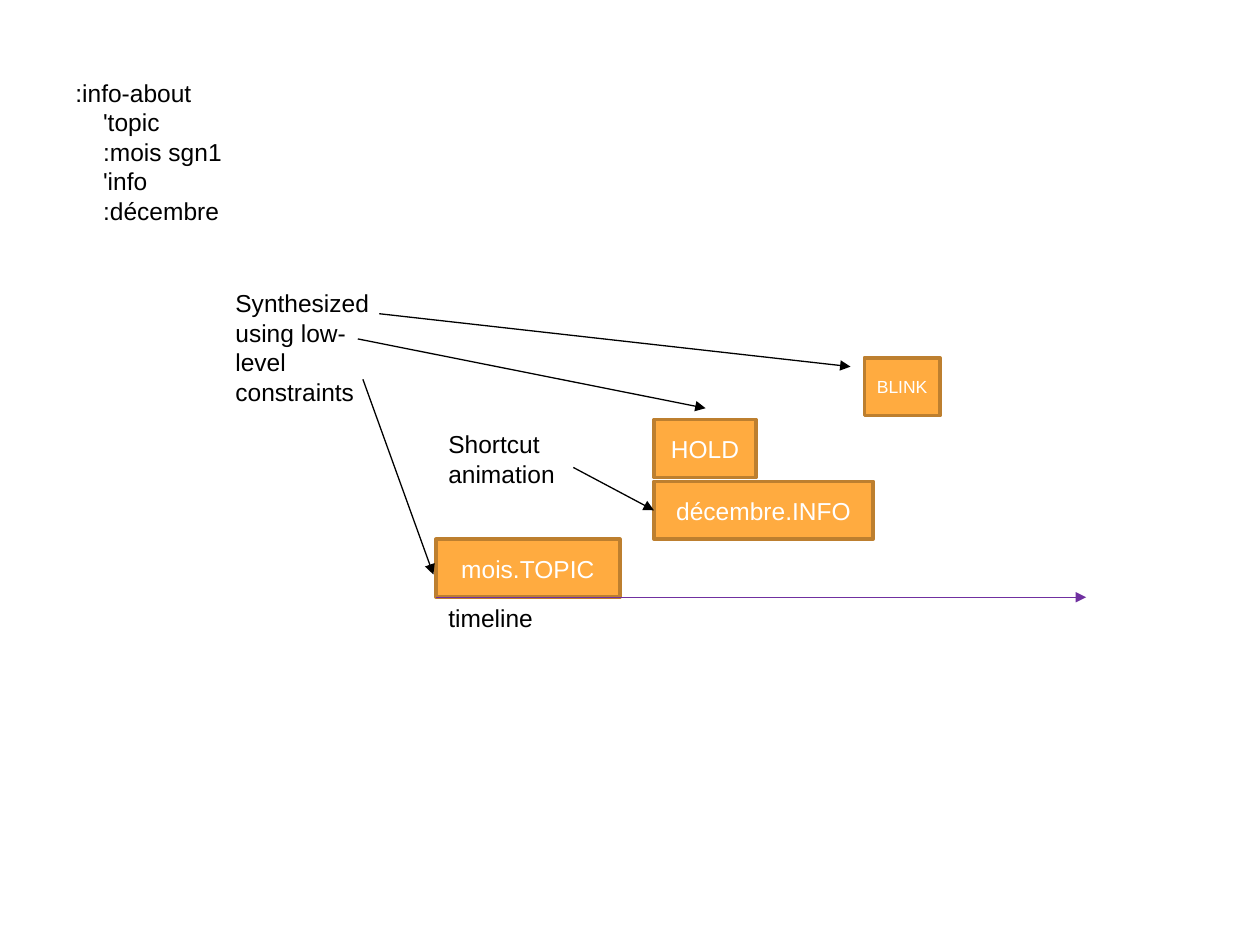
from dataclasses import dataclass

import pptx
import pptx.dml.color
import pptx.enum.shapes
import pptx.enum.text
import pptx.oxml
import pptx.oxml.ns
import pptx.util

Inches = pptx.util.Inches
Pt = pptx.util.Pt
LEFT_SIDE = 1


@dataclass(frozen=True)
class Theme:
    font: str = "Arial"
    body: int = 14
    small: int = 10
    ink: str = "000000"
    box_text: str = "FFFFFF"
    box_fill: str = "FFAB40"
    box_line: str = "BD7F2F"
    timeline: str = "7030A0"
    box_width: float = 2
    arrow_width: float = 0.75


def rgb(value):
    return pptx.dml.color.RGBColor.from_string(value)


def set_all(target, values):
    for name, value in values.items():
        setattr(target, name, value)


class Diagram:
    def __init__(self, slide, theme):
        self.slide = slide
        self.theme = theme

    def add_text(self, p, text, size, color):
        r = p.add_run()
        r.text = text
        set_all(r.font, {"name": self.theme.font, "size": Pt(size)})
        r.font.color.rgb = rgb(color)

    def label(self, x, y, w, h, lines, wrap=True, indent=0.0):
        """Add a text box; every line after the first is indented."""
        sp = self.slide.shapes.add_textbox(*map(Inches, (x, y, w, h)))
        tf = sp.text_frame
        set_all(tf, {"word_wrap": wrap,
                     "auto_size": pptx.enum.text.MSO_AUTO_SIZE.SHAPE_TO_FIT_TEXT})
        for i, line in enumerate(lines):
            p = tf.add_paragraph() if i else tf.paragraphs[0]
            if i and indent:
                p._p.get_or_add_pPr().set("marL", str(Inches(indent)))
            self.add_text(p, line, self.theme.body, self.theme.ink)

    def box(self, x, y, w, h, text, size):
        t = self.theme
        sp = self.slide.shapes.add_shape(
            pptx.enum.shapes.MSO_SHAPE.RECTANGLE, *map(Inches, (x, y, w, h)))
        sp.shadow.inherit = False
        sp.fill.solid()
        sp.fill.fore_color.rgb = rgb(t.box_fill)
        sp.line.color.rgb = rgb(t.box_line)
        sp.line.width = Pt(t.box_width)
        tf = sp.text_frame
        set_all(tf, {"margin_left": 0, "margin_right": 0, "word_wrap": True,
                     "vertical_anchor": pptx.enum.text.MSO_ANCHOR.MIDDLE})
        p = tf.paragraphs[0]
        p.alignment = pptx.enum.text.PP_ALIGN.CENTER
        self.add_text(p, text, size, t.box_text)
        return sp

    def arrow(self, start, end, color, target=None):
        """Draw an arrow, joined to the left side of target if one is given."""
        s = self.slide.shapes.add_connector(
            pptx.enum.shapes.MSO_CONNECTOR.STRAIGHT, *map(Inches, (*start, *end)))
        if target is not None:
            s.end_connect(target, LEFT_SIDE)
        s.line.color.rgb = rgb(color)
        s.line.width = Pt(self.theme.arrow_width)
        head = pptx.oxml.parse_xml(
            f'<a:tailEnd {pptx.oxml.ns.nsdecls("a")} type="triangle"/>')
        s.line._get_or_add_ln().append(head)
        s._element.spPr.append(
            pptx.oxml.parse_xml(f'<a:effectLst {pptx.oxml.ns.nsdecls("a")}/>'))


def main():
    prs = pptx.Presentation()
    set_all(prs, {"slide_width": Inches(10), "slide_height": Inches(7.5)})
    theme = Theme()
    d = Diagram(prs.slides.add_slide(prs.slide_layouts[6]), theme)

    d.label(0.5, 0.57, 1.44, 1.28,
            [":info-about", "'topic", ":mois sgn1", "'info", ":décembre"], indent=0.22)

    box_height = 0.46
    start_x, timeline_y = 3.46, 4.74
    info_x, info_y, row_step = 5.19, 3.82, 0.49
    d.box(start_x, timeline_y - box_height, 1.46, box_height, "mois.TOPIC", theme.body)
    info = d.box(info_x, info_y, 1.74, box_height, "décembre.INFO", theme.body)
    d.box(info_x, info_y - row_step, 0.81, box_height, "HOLD", theme.body)
    d.box(6.86, info_y - 2 * row_step, 0.6, box_height, "BLINK", theme.small)

    d.arrow((start_x, timeline_y), (8.62, timeline_y), theme.timeline)
    d.label(start_x, timeline_y, 0.88, 0.34, ["timeline"], wrap=False)

    d.label(1.77, 2.24, 1.33, 1.04, ["Synthesized using low-level constraints"])
    for start, end in (((2.88, 3.01), (3.44, 4.56)),
                       ((3.01, 2.49), (6.75, 2.91)),
                       ((2.84, 2.69), (5.6, 3.24))):
        d.arrow(start, end, theme.ink)

    d.label(start_x, 3.36, 1.33, 0.57, ["Shortcut animation"])
    d.arrow((4.55, 3.71), (info_x, info_y + box_height / 2), theme.ink, target=info)

    prs.save("out.pptx")


if __name__ == "__main__":
    main()
